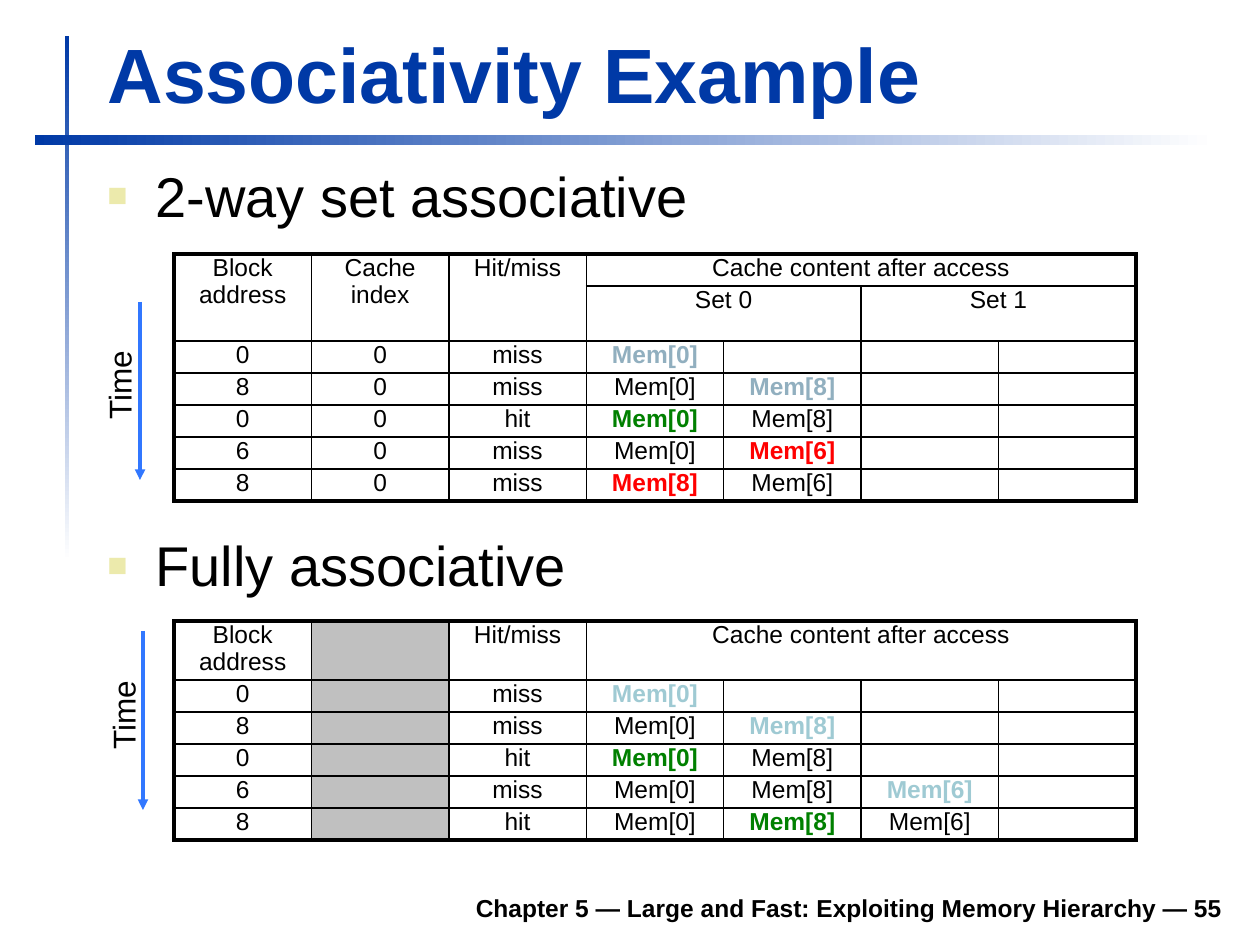
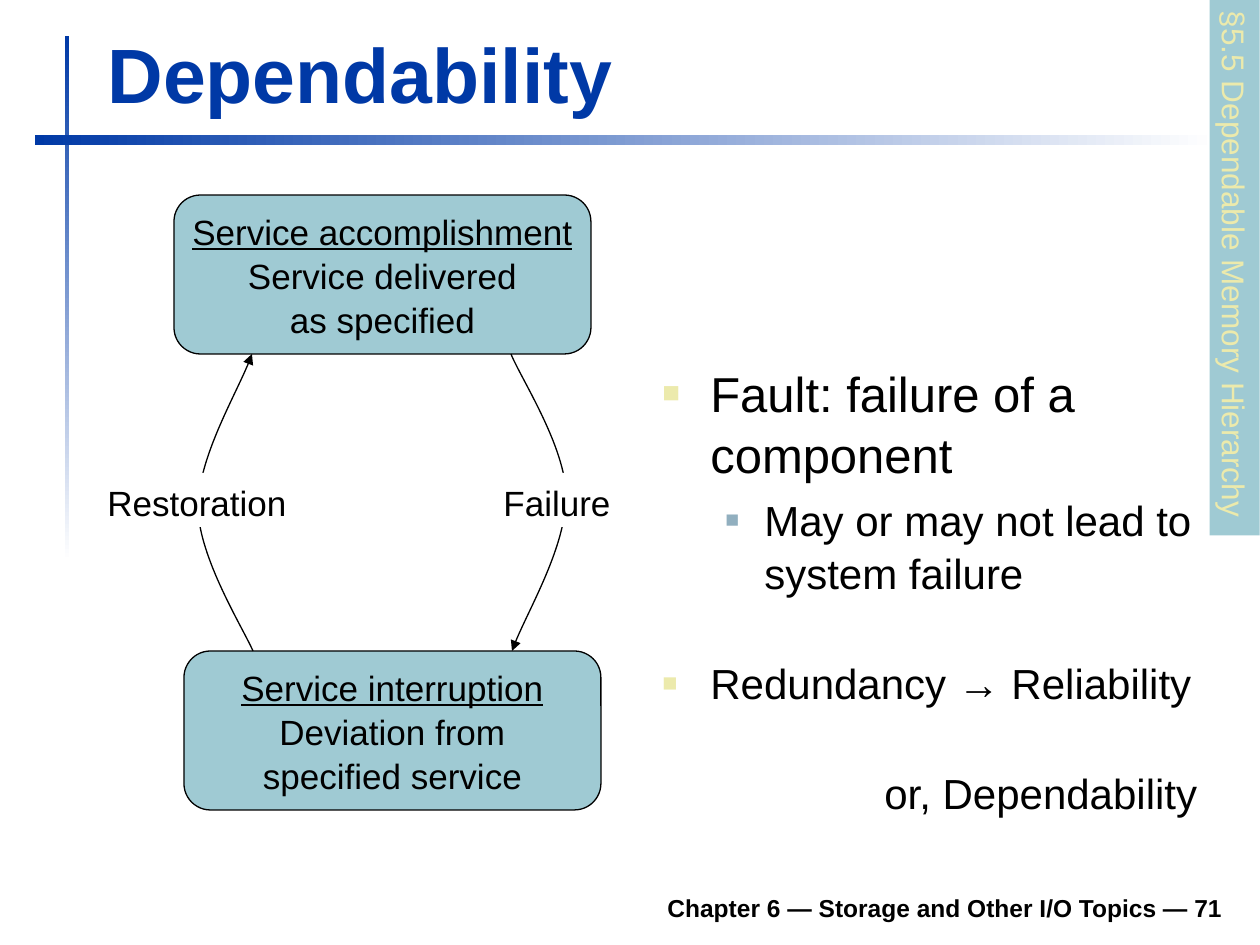
from lxml import etree
from pptx import Presentation
from pptx import util as u
from pptx.dml.color import RGBColor
from pptx.enum import shapes, text
from pptx.oxml import ns

BLUE, ARROW, TEAL, STEEL, SAND = "0039A6", "3177FF", "9FCAD3", "91AFBF", "ECEAAC"
BLACK, WHITE, GREY, GREEN, RED = "000000", "FFFFFF", "C0C0C0", "008000", "FF0000"
FONT = "Arial"
PX = 914400 / 126

# Tables: rows, merges as (top, left, bottom, right), coloured words by (row, column)
HEAD = "Cache content after access"
TWO_WAY = {
    "title": "2-way set associative", "box": (95, 155, 1140, 100), "lead": None,
    "top": 254, "heights": [32] * 7, "time": (140, 302, 480), "word": (72, 360),
    "rows": [
        ("Block address", "Cache index", "Hit/miss", HEAD, "", "", ""),
        ("", "", "", "Set 0", "", "Set 1", ""),
        ("0", "0", "miss", "Mem[0]", "", "", ""),
        ("8", "0", "miss", "Mem[0]", "Mem[8]", "", ""),
        ("0", "0", "hit", "Mem[0]", "Mem[8]", "", ""),
        ("6", "0", "miss", "Mem[0]", "Mem[6]", "", ""),
        ("8", "0", "miss", "Mem[8]", "Mem[6]", "", ""),
    ],
    "merge": [(0, 0, 1, 0), (0, 1, 1, 1), (0, 2, 1, 2), (0, 3, 0, 6),
              (1, 3, 1, 4), (1, 5, 1, 6)],
    "marks": {(2, 3): STEEL, (3, 4): STEEL, (4, 3): GREEN, (5, 4): RED, (6, 3): RED},
    "grey": None,
}
FULL = {
    "title": "Fully associative", "box": (95, 532, 1071, 79), "lead": 0.9,
    "top": 621, "heights": [59] + [32] * 5, "time": (143, 631, 810), "word": (76, 690),
    "rows": [
        ("Block address", "", "Hit/miss", HEAD, "", "", ""),
        ("0", "", "miss", "Mem[0]", "", "", ""),
        ("8", "", "miss", "Mem[0]", "Mem[8]", "", ""),
        ("0", "", "hit", "Mem[0]", "Mem[8]", "", ""),
        ("6", "", "miss", "Mem[0]", "Mem[8]", "Mem[6]", ""),
        ("8", "", "hit", "Mem[0]", "Mem[8]", "Mem[6]", ""),
    ],
    "merge": [(0, 3, 0, 6)],
    "marks": {(1, 3): TEAL, (2, 4): TEAL, (3, 3): GREEN, (4, 5): TEAL, (5, 4): GREEN},
    "grey": 1,
}

STATES = [
    ((174, 195, 417, 159), ("Service accomplishment", "Service delivered", "as specified")),
    ((184, 651, 417, 159), ("Service interruption", "Deviation from", "specified service")),
]
CURVES = [
    [(511, 354), (520, 377), (566, 447), (566, 496), (566, 546), (523, 619), (512, 651)],
    [(253, 651), (243, 628), (199, 558), (198, 508), (198, 459), (241, 386), (252, 354)],
]
LABELS = [("Failure", (491, 473, 132, 54)), ("Restoration", (95, 473, 204, 54))]
TOP = dict(bullet=(SAND, 60), left=48, hang=48)
SUB = dict(bullet=(STEEL, 55), left=102, hang=39)
POINTS = [
    ("Fault: failure of a component", dict(TOP, size=28)),
    ("May or may not lead to system failure", SUB),
    ("Redundancy → Reliability", dict(TOP, before=57)),
    ("or, Dependability", dict(left=222, before=57)),
]


def px(n):
    return u.Emu(round(n * PX))


def rgb(code):
    return RGBColor.from_string(code)


def sub(node, tag, **attrs):
    return etree.SubElement(node, ns.qn("a:" + tag), attrs)


def style(para, words, size=14, color=BLACK, bold=False, line=False, align="LEFT",
          lead=None, rise=False, before=None, bullet=None, left=0, hang=0):
    """Fill a paragraph; rise adds 20% space above, left and hang are in px."""
    para.alignment = getattr(text.PP_ALIGN, align)
    if lead:
        para.line_spacing = lead
    if before:
        para.space_before = px(before)
    props = para._p.get_or_add_pPr()
    props.set("marL", str(px(left)))
    props.set("indent", str(px(-hang)))
    if rise and not before:
        sub(sub(props, "spcBef"), "spcPct", val="20000")
    if bullet:
        sub(sub(props, "buClr"), "srgbClr", val=bullet[0])
        sub(props, "buSzPct", val=str(bullet[1] * 1000))
        sub(props, "buFont", typeface=FONT)
        sub(props, "buChar", char="■")
    if not words:
        para._p.get_or_add_endParaRPr().set("sz", str(size * 100))
        return
    run = para.add_run()
    run.text = words
    font = run.font
    font.name, font.size, font.bold, font.underline = FONT, u.Pt(size), bold, line
    font.color.rgb = rgb(color)


def write(shape, paras, anchor="TOP", wrap=True, **form):
    """Write a string, or a list of (string, format) pairs, into a shape."""
    frame = shape.text_frame
    frame.word_wrap = wrap
    frame.auto_size = text.MSO_AUTO_SIZE.NONE
    frame.vertical_anchor = getattr(text.MSO_ANCHOR, anchor)
    if isinstance(paras, str):
        paras = [(paras, {})]
    for i, (words, own) in enumerate(paras):
        para = frame.add_paragraph() if i else frame.paragraphs[0]
        style(para, words, **{**form, **own})


def label(slide, box, paras, turn=0, **form):
    shape = slide.shapes.add_textbox(*map(px, box))
    shape.rotation = turn
    write(shape, paras, **form)
    return shape


def block(slide, box, fill=None, edge=None, kind="RECTANGLE"):
    shape = slide.shapes.add_shape(getattr(shapes.MSO_SHAPE, kind), *map(px, box))
    shape.shadow.inherit = False
    if fill:
        shape.fill.solid()
        shape.fill.fore_color.rgb = rgb(fill)
    if edge:
        stroke(shape, edge, 0.75)
    else:
        shape.line.fill.background()
    return shape


def stroke(shape, color, width, head=False):
    shape.line.color.rgb = rgb(color)
    shape.line.width = u.Pt(width)
    if head:
        sub(shape.line._get_or_add_ln(), "tailEnd", type="triangle")


def band(slide, box, angle):
    fill = block(slide, box).fill
    fill.gradient()
    fill.gradient_angle = angle
    for stop, color in zip(fill.gradient_stops, (BLUE, WHITE)):
        stop.color.rgb = rgb(color)


def start(deck, title, foot):
    """Add a slide with the shared bands, title and footer."""
    slide = deck.slides.add_slide(deck.slide_layouts[5])
    band(slide, (65, 36, 4, 525), 270)
    band(slide, (35, 135, 1181, 10), 0)
    label(slide, (233, 880, 1002, 49), foot, anchor="BOTTOM", bold=True, align="RIGHT")
    head = slide.shapes.title
    head.left, head.top, head.width, head.height = map(px, (95, 20, 1138, 105))
    write(head, title, anchor="BOTTOM", size=44, color=BLUE, bold=True)
    return slide


def border(cell, thick):
    """Draw the four cell sides; thick holds the letters of the outer ones."""
    props = cell._tc.get_or_add_tcPr()
    for side in "LRTB":
        width = u.Pt(2.25 if side in thick else 1)
        line = sub(props, "ln" + side, w=str(width))
        sub(sub(line, "solidFill"), "srgbClr", val=BLACK)


def grid(slide, part):
    rows = part["rows"]
    high, wide = len(rows), len(rows[0])
    table = slide.shapes.add_table(high, wide, px(174), px(part["top"]), px(962),
                                   px(sum(part["heights"]))).table
    table.first_row = table.horz_banding = False
    for row, height in zip(table.rows, part["heights"]):
        row.height = px(height)
    for top, left, low, right in part["merge"]:
        table.cell(top, left).merge(table.cell(low, right))
    for r, row in enumerate(rows):
        for c, words in enumerate(row):
            cell = table.cell(r, c)
            cell.margin_top = cell.margin_bottom = 0
            mark = part["marks"].get((r, c))
            style(cell.text_frame.paragraphs[0], words, color=mark or BLACK,
                  bold=bool(mark), align="CENTER", rise=True)
            right = c + (cell.span_width if cell.is_merge_origin else 1)
            low = r + (cell.span_height if cell.is_merge_origin else 1)
            edges = {"L": c == 0, "R": right == wide, "T": r == 0, "B": low == high}
            border(cell, [side for side, outer in edges.items() if outer])
            if c == part["grey"]:
                cell.fill.solid()
                cell.fill.fore_color.rgb = rgb(GREY)
            else:
                cell.fill.background()


def clock(slide, part):
    """Add the downward time arrow and its turned word."""
    x, top, low = part["time"]
    line = slide.shapes.add_connector(shapes.MSO_CONNECTOR.STRAIGHT,
                                      px(x), px(top), px(x), px(low))
    stroke(line, ARROW, 2, head=True)
    sub(line._element.spPr, "effectLst")
    label(slide, (*part["word"], 94, 50), "Time", turn=270, size=18, wrap=False)


def curve(slide, dots):
    """Draw an arrow of cubic curves: a start, then three points for each."""
    build = slide.shapes.build_freeform(*dots[0], scale=PX)
    build.add_line_segments(dots[1:], close=False)
    shape = build.convert_to_shape()
    legs = shape._element.xpath(".//a:lnTo")
    for i in range(0, len(legs), 3):
        bend = etree.Element(ns.qn("a:cubicBezTo"))
        legs[i].addprevious(bend)
        for leg in legs[i:i + 3]:
            bend.append(leg[0])
            leg.getparent().remove(leg)
    shape.shadow.inherit = False
    shape.fill.background()
    stroke(shape, BLACK, 0.75, head=True)


def main():
    deck = Presentation()
    deck.slide_width, deck.slide_height = px(1260), px(945)

    slide = start(deck, "Associativity Example",
                  "Chapter 5 — Large and Fast: Exploiting Memory Hierarchy — 55")
    for part in (TWO_WAY, FULL):
        label(slide, part["box"], part["title"], size=32, lead=part["lead"],
              rise=True, **TOP)
        grid(slide, part)
        clock(slide, part)

    slide = start(deck, "Dependability", "Chapter 6 — Storage and Other I/O Topics — 71")
    label(slide, (650, 354, 570, 507), POINTS, size=24, lead=1.05, rise=True)
    for box, lines in STATES:
        state = block(slide, box, TEAL, BLACK, "ROUNDED_RECTANGLE")
        write(state, [(words, {"line": i == 0}) for i, words in enumerate(lines)],
              anchor="MIDDLE", wrap=False, size=20, align="CENTER", lead=1.05)
    for dots in CURVES:
        curve(slide, dots)
    for words, box in LABELS:
        write(block(slide, box, WHITE), words, wrap=False, size=20, lead=1.05)
    tab = block(slide, (966, 242, 537, 50), TEAL)
    tab.rotation = 90
    write(tab, "§5.5 Dependable Memory Hierarchy", wrap=False, size=18, color=SAND)

    deck.save("out.pptx")


if __name__ == "__main__":
    main()
